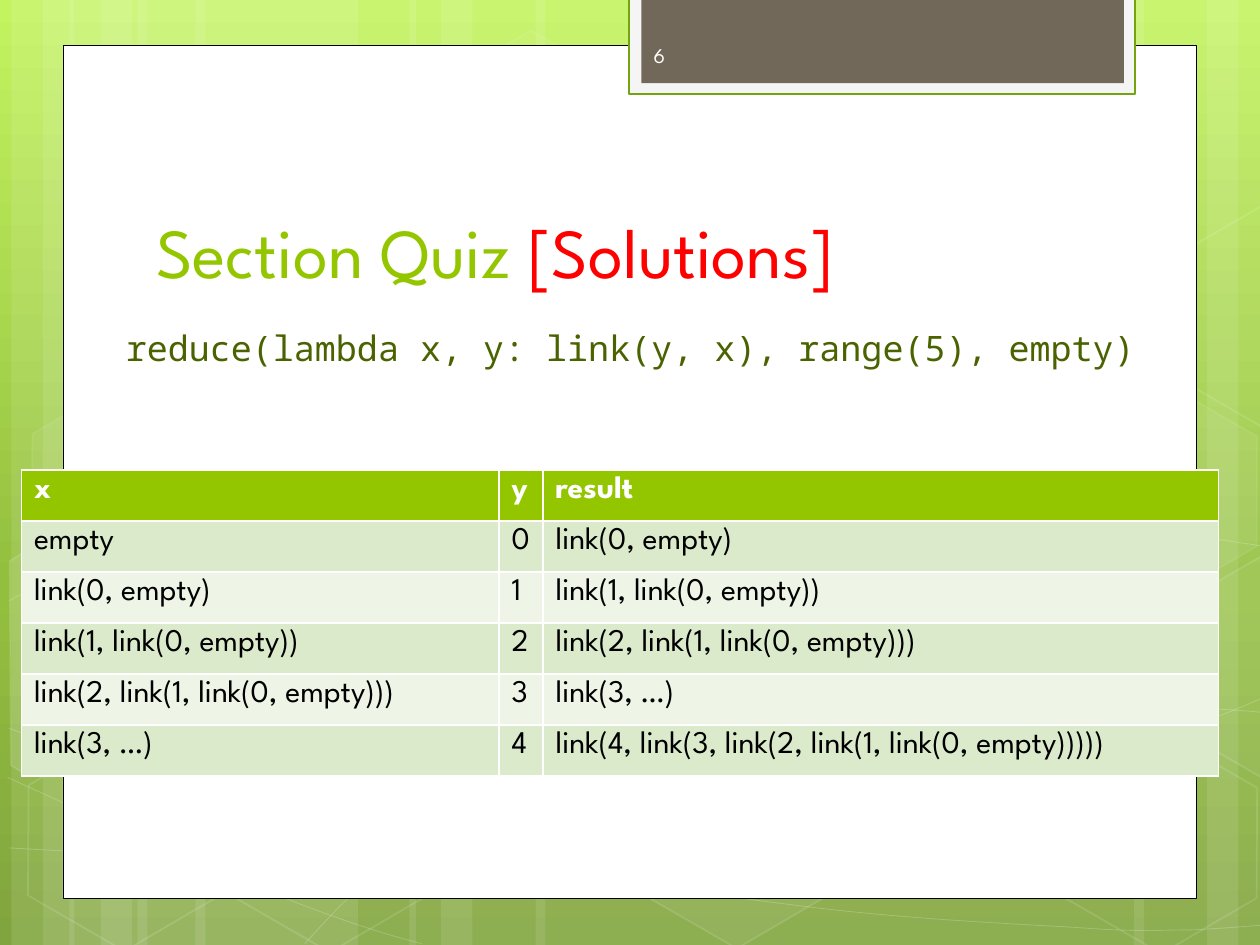
from copy import deepcopy
from math import cos, radians, sin
from lxml.etree import SubElement
from pptx import Presentation
from pptx.dml.color import RGBColor
from pptx.enum.shapes import MSO_SHAPE
from pptx.enum.text import MSO_ANCHOR
from pptx.oxml.ns import qn
from pptx.util import Pt

PX = 9144
TILT = 30
WHITE = RGBColor(0xFF, 0xFF, 0xFF)
BLACK = RGBColor(0x00, 0x00, 0x00)
RED = RGBColor(0xFF, 0x00, 0x00)
LIME = RGBColor(0x94, 0xC6, 0x00)
MOSS = RGBColor(0x4A, 0x63, 0x00)
TAB_EDGE = RGBColor(0x74, 0xA5, 0x10)
TAB_MAT = RGBColor(0xF5, 0xF5, 0xF5)
TAB_BROWN = RGBColor(0x71, 0x68, 0x5A)
NUMBER = RGBColor(0xFE, 0xFE, 0xFE)
BAND_DARK = RGBColor(0xDC, 0xEA, 0xCC)
BAND_LIGHT = RGBColor(0xEE, 0xF5, 0xE7)
BACKDROP = [(0, RGBColor(0xC3, 0xF3, 0x5F)), (0.62, RGBColor(0x93, 0xBF, 0x3F)),
            (1, RGBColor(0x81, 0xA5, 0x3E))]
SANS = "League Spartan"
MONO = "Noto Sans Mono"

STRIPES = [(109, 175), (9, 50), (34, 83), (155, 175), (55, 50), (80, 83),
           (733, 175), (958, 50), (900, 83), (425, 308), (325, 50), (350, 83)]
WAVES = [
    [(7, 673), (61, 676), (115, 679), (190, 678), (265, 677), (358, 675), (458, 665),
     (558, 655), (700, 636), (792, 617), (883, 598), (977, 568), (1007, 551)],
    [(7, 477), (36, 461), (65, 446), (121, 431), (178, 416), (259, 394), (347, 387),
     (436, 380), (544, 379), (654, 387), (764, 395), (947, 426), (1007, 434)],
    [(6, 617), (127, 672), (247, 727), (335, 749)],
    [(7, 578), (38, 589), (70, 600), (128, 616), (186, 631), (273, 656), (357, 673),
     (440, 690), (545, 708), (628, 718), (711, 729), (800, 733), (853, 736),
     (906, 740), (919, 738), (945, 738), (971, 737), (989, 735), (1007, 734)],
    [(242, 749), (260, 729), (278, 709), (302, 691), (326, 672), (360, 653), (388, 639),
     (416, 625), (433, 619), (469, 609), (506, 599), (573, 585), (608, 578),
     (644, 571), (649, 571), (680, 569), (711, 566), (760, 563), (794, 562),
     (829, 561), (886, 562), (886, 562), (908, 562), (931, 562), (953, 562),
     (971, 563), (988, 564), (997, 565), (1006, 566), (1003, 565), (1006, 566)],
]
HEXAGONS = [(334, 36, 4, 8), (497, 589, 6, 12), (11, 591, 0, 12), (14, 312, 7, 8),
            (174, 592, 0, 12), (753, 453, 10, 12), (834, 593, 0, 12), (834, 314, 7, 8)]
CUT_HEXAGONS = [
    ((36, 536), [(8, 445), (19, 438), (96, 483), (95, 570), (20, 614), (9, 607)], 10),
    ((985, 520), [(926, 485), (1002, 441), (1009, 446), (1009, 613), (1002, 617),
                  (926, 573)], 4),
    ((985, 241), [(926, 207), (1002, 163), (1010, 168), (1009, 335), (1002, 339),
                  (926, 295)], 0),
]
TRACE = ["empty", "link(0, empty)", "link(1, link(0, empty))",
         "link(2, link(1, link(0, empty)))", "link(3, …)",
         "link(4, link(3, link(2, link(1, link(0, empty)))))"]


def untilt(center, points):
    cx, cy = center
    c, s = cos(radians(TILT)), sin(radians(TILT))
    return [(cx + (x - cx) * c + (y - cy) * s, cy + (y - cy) * c - (x - cx) * s)
            for x, y in points]


class Deck:
    def __init__(self, width, height):
        self.prs = Presentation()
        self.prs.slide_width, self.prs.slide_height = width * PX, height * PX
        self.s = self.prs.slides.add_slide(self.prs.slide_layouts[6])

    def background(self, stops):
        fill = self.s.background.fill
        fill.gradient()
        fill.gradient_angle = 270
        gs_list = self.s.element.find(".//" + qn("a:gsLst"))
        gs_list.append(deepcopy(gs_list[0]))
        for stop, (position, color) in zip(fill.gradient_stops, stops):
            stop.position, stop.color.rgb = position, color

    def color(self, fill, rgb, parent, alpha):
        if rgb is None or alpha == 0:
            fill.background()
            return
        fill.solid()
        fill.fore_color.rgb = rgb
        if alpha < 100:
            clr = parent.find(qn("a:solidFill")).find(qn("a:srgbClr"))
            SubElement(clr, qn("a:alpha")).set("val", str(alpha * 1000))

    def paint(self, sp, fill, alpha=100, line=None, weight=1, line_alpha=100):
        sp.shadow.inherit = False
        sp_pr = sp.element.spPr
        self.color(sp.fill, fill, sp_pr, alpha)
        sp.line.width = Pt(weight)
        self.color(sp.line.fill, line, sp_pr.find(qn("a:ln")), line_alpha)

    def shape(self, kind, x, y, w, h, fill, **style):
        sp = self.s.shapes.add_shape(kind, x * PX, y * PX, w * PX, h * PX)
        self.paint(sp, fill, **style)
        return sp

    def hexagon(self, x, y, alpha, line_alpha):
        sp = self.shape(MSO_SHAPE.HEXAGON, x, y, 175, 152, WHITE, alpha=alpha,
                        line=WHITE, line_alpha=line_alpha)
        sp.adjustments[0] = 0.285
        sp.rotation = TILT

    def outline(self, points, close, fill=None, **style):
        start, *rest = [(x * PX, y * PX) for x, y in points]
        builder = self.s.shapes.build_freeform(*start)
        builder.add_line_segments(rest, close=close)
        sp = builder.convert_to_shape()
        self.paint(sp, fill, line=WHITE, **style)
        return sp

    def wave(self, points):
        sp = self.outline(points, False, weight=0.5, line_alpha=20)
        path = sp.element.find(".//" + qn("a:path"))
        lines = path.findall(qn("a:lnTo"))
        for i in range(0, len(lines), 3):
            curve = SubElement(path, qn("a:cubicBezTo"))
            for line in lines[i:i + 3]:
                curve.append(line[0])
                path.remove(line)

    def cut_hexagon(self, center, points, alpha):
        sp = self.outline(untilt(center, points), True, WHITE, alpha=alpha, line_alpha=12)
        sp.rotation = TILT

    def text(self, x, y, w, h, runs, size, font=SANS, anchor=MSO_ANCHOR.TOP, indent=0):
        tf = self.s.shapes.add_textbox(x * PX, y * PX, w * PX, h * PX).text_frame
        tf.word_wrap = True
        tf.vertical_anchor = anchor
        p = tf.paragraphs[0]
        p.font.size, p.font.name = Pt(size), font
        if indent:
            p._p.get_or_add_pPr().set("marL", str(indent * PX))
        for words, color in runs:
            r = p.add_run()
            r.text = words
            r.font.color.rgb = color

    def table(self, x, y, widths, height, rows):
        table = self.s.shapes.add_table(len(rows), len(widths), x * PX, y * PX,
                                        sum(widths) * PX, height * PX).table
        for column, width in zip(table.columns, widths):
            column.width = width * PX
        for i, row in enumerate(rows):
            header = i == 0
            band = LIME if header else BAND_DARK if i % 2 else BAND_LIGHT
            for j, words in enumerate(row):
                cell = table.cell(i, j)
                cell.fill.solid()
                cell.fill.fore_color.rgb = band
                cell.text = words
                font = cell.text_frame.paragraphs[0].font
                font.size, font.name, font.bold = Pt(18), SANS, header
                font.color.rgb = WHITE if header else BLACK


def main():
    deck = Deck(1000, 750)
    deck.background(BACKDROP)
    for x, w in STRIPES:
        deck.shape(MSO_SHAPE.RECTANGLE, x, 0, w, 750, WHITE, alpha=10)
    for wave in WAVES:
        deck.wave(wave)
    for hexagon in HEXAGONS:
        deck.hexagon(*hexagon)
    for cut_hexagon in CUT_HEXAGONS:
        deck.cut_hexagon(*cut_hexagon)

    deck.shape(MSO_SHAPE.RECTANGLE, 50, 36, 900, 677, WHITE, line=BLACK, weight=0.5)
    deck.shape(MSO_SHAPE.RECTANGLE, 499, -2, 402, 77, TAB_MAT, line=TAB_EDGE, weight=1.25)
    deck.shape(MSO_SHAPE.RECTANGLE, 509, -2, 383, 68, TAB_BROWN)

    deck.text(114, 112, 768, 125, [("Section Quiz ", LIME), ("[Solutions]", RED)], 40,
              anchor=MSO_ANCHOR.BOTTOM)
    deck.text(50, 254, 889, 438, [("reduce(lambda x, y: link(y, x), range(5), empty)", MOSS)],
              20, font=MONO, indent=40)
    deck.text(509, 24, 146, 40, [("6", NUMBER)], 12, anchor=MSO_ANCHOR.MIDDLE)

    steps = [(x, str(y), result) for y, (x, result) in enumerate(zip(TRACE, TRACE[1:]))]
    deck.table(17, 373, [379, 35, 536], 243, [("x", "y", "result"), *steps])
    deck.prs.save("out.pptx")


if __name__ == "__main__":
    main()
